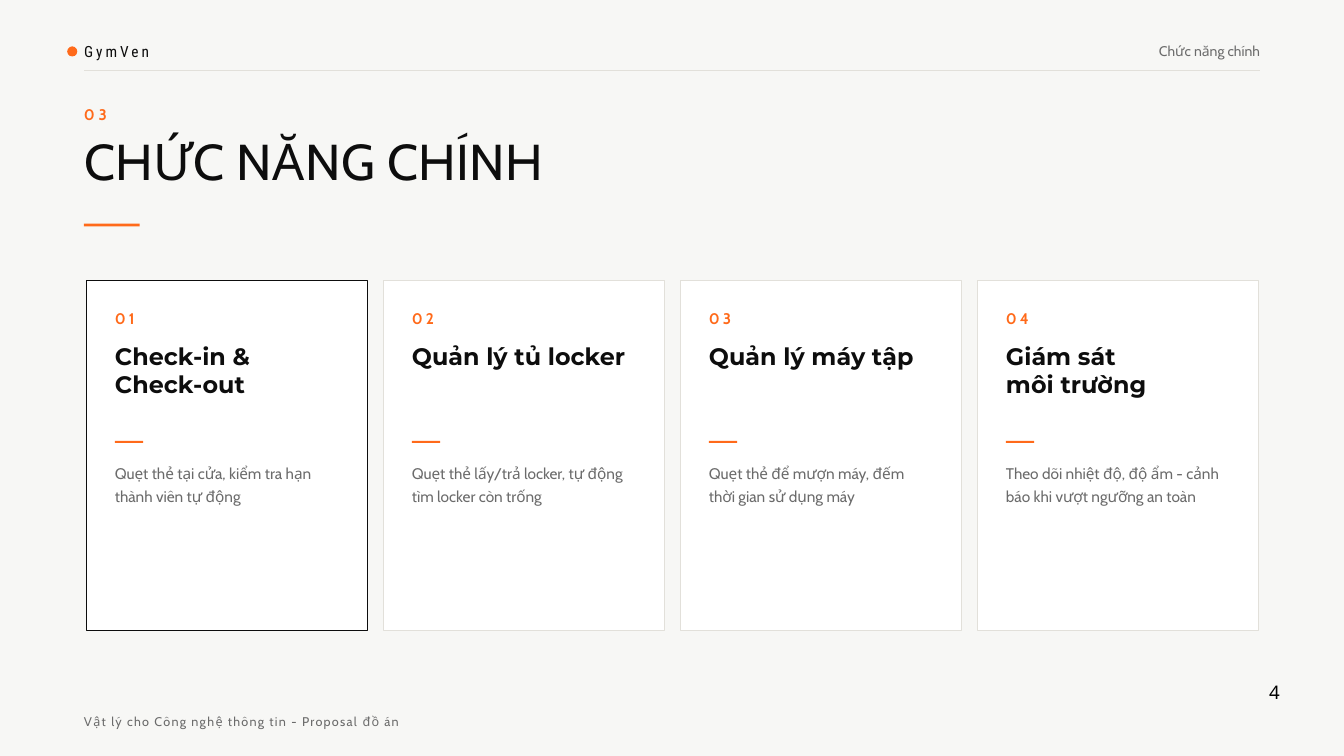
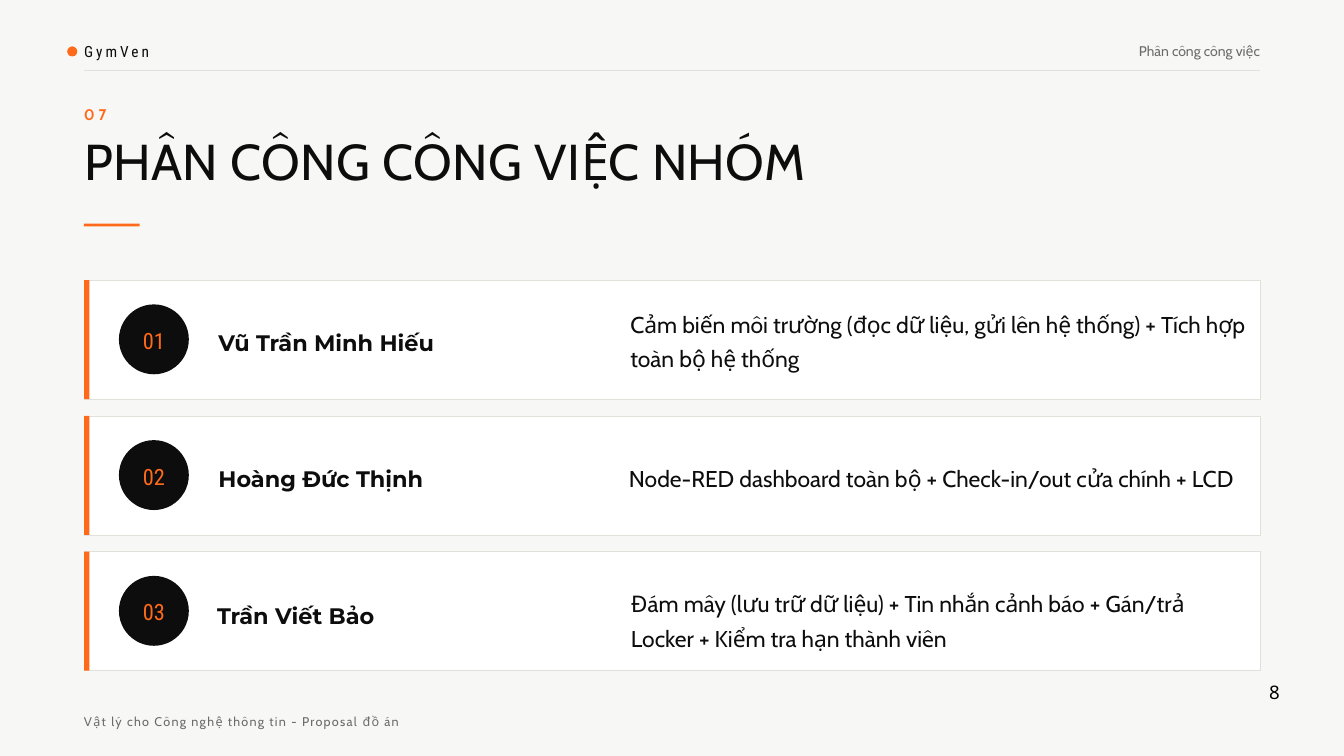
import pptx
import pptx.dml.color
import pptx.enum.shapes
import pptx.enum.text
import pptx.oxml.ns
import pptx.util
import lxml.etree

Inches = pptx.util.Inches
Pt = pptx.util.Pt
SHAPE = pptx.enum.shapes.MSO_SHAPE
ALIGN = pptx.enum.text.PP_ALIGN

THEME = {
    "colours": {
        name: pptx.dml.color.RGBColor.from_string(value)
        for name, value in {
            "paper": "F7F7F5", "card": "FFFFFF", "ink": "0D0D0D", "grey": "6B6B6B",
            "rule": "E2E0DA", "accent": "FF6A1A", "black": "000000",
        }.items()
    },
    "styles": {
        "brand": {"name": "Roboto Condensed", "size": 16.5, "colour": "ink", "leading": 23.1, "tracking": 330},
        "section": {"name": "Cabin", "size": 15, "colour": "grey", "leading": 21, "align": ALIGN.RIGHT},
        "number": {"name": "Cabin", "size": 16.5, "bold": True, "colour": "accent", "leading": 23.1, "tracking": 410},
        "title": {"name": "Cabin", "size": 54, "colour": "ink", "leading": 56.7, "tracking": 50},
        "card number": {"name": "Cabin", "size": 16.5, "bold": True, "colour": "accent", "leading": 23.1, "tracking": 330},
        "card heading": {"name": "Montserrat", "size": 25.5, "bold": True, "colour": "ink", "leading": 29.3},
        "card body": {"name": "Cabin", "size": 16.5, "colour": "grey", "leading": 24.8},
        "badge": {"name": "Roboto Condensed", "size": 24, "colour": "accent", "leading": 33.6, "align": ALIGN.CENTER},
        "member": {"name": "Montserrat", "size": 24, "bold": True, "colour": "ink", "leading": 33.6},
        "task": {"name": "Cabin", "size": 24.5, "colour": "ink", "leading": 36.7},
        "page number": {"name": "Noto Sans", "size": 20, "colour": "black", "leading": 28, "align": ALIGN.CENTER, "wrap": False},
        "footer": {"name": "Cabin", "size": 13.5, "colour": "grey", "leading": 18.9, "tracking": 140},
    },
}
COLOURS = THEME["colours"]


def write(page, place, text, style_name, box=None):
    style = THEME["styles"][style_name]
    box = box or page.shapes.add_textbox(0, 0, 0, 0)
    for side, length in zip(("left", "top", "width", "height"), place):
        setattr(box, side, Inches(length))
    frame = box.text_frame
    frame_format = {
        "margin_left": 0, "margin_top": 0, "margin_right": 0, "margin_bottom": 0,
        "word_wrap": style.get("wrap", True),
        "vertical_anchor": pptx.enum.text.MSO_ANCHOR.TOP,
        "auto_size": pptx.enum.text.MSO_AUTO_SIZE.SHAPE_TO_FIT_TEXT,
    }
    for attribute, value in frame_format.items():
        setattr(frame, attribute, value)
    for index, line in enumerate(text.split("\n")):
        para = frame.add_paragraph() if index else frame.paragraphs[0]
        para.alignment = style.get("align", ALIGN.LEFT)
        para.line_spacing = Pt(style["leading"])
        span = para.add_run()
        span.text = line
        font_format = {"name": style["name"], "size": Pt(style["size"]), "bold": style.get("bold", False)}
        for attribute, value in font_format.items():
            setattr(span.font, attribute, value)
        span.font.color.rgb = COLOURS[style["colour"]]
        if "tracking" in style:
            span.font._element.set("spc", str(style["tracking"]))


def draw(page, kind, place, fill, outline=None):
    shape = page.shapes.add_shape(kind, *map(Inches, place))
    shape.shadow.inherit = False
    shape.fill.solid()
    shape.fill.fore_color.rgb = COLOURS[fill]
    if outline:
        shape.line.color.rgb = COLOURS[outline]
        shape.line.width = Pt(0.75)
    else:
        shape.line.fill.background()


deck = pptx.Presentation()
deck.slide_width = Inches(20)
deck.slide_height = Inches(11.25)
background = deck.slide_master.background.fill
background.solid()
background.fore_color.rgb = COLOURS["paper"]

LEFT, RIGHT, CONTENT_TOP = 1.25, 18.75, 4.17
headers = [
    ("03", "CHỨC NĂNG CHÍNH", "Chức năng chính", "4"),
    ("07", "PHÂN CÔNG CÔNG VIỆC NHÓM", "Phân công công việc", "8"),
]
pages = []
for number, title, section, page_number in headers:
    page = deck.slides.add_slide(deck.slide_layouts[5])
    pages.append(page)
    write(page, (LEFT, 2.05, 14.58, 0.82), title, "title", page.shapes.title)
    draw(page, SHAPE.OVAL, (1, 0.69, 0.15, 0.15), "accent")
    write(page, (LEFT, 0.58, 6.25, 0.31), "GymVen", "brand")
    write(page, (16.56, 0.59, 2.19, 0.28), section, "section")
    rule = page.shapes.add_connector(
        pptx.enum.shapes.MSO_CONNECTOR.STRAIGHT, Inches(LEFT), Inches(1.04), Inches(RIGHT), Inches(1.04))
    rule.line.color.rgb = COLOURS["rule"]
    rule.line.width = Pt(0.75)
    lxml.etree.SubElement(rule._element.spPr, pptx.oxml.ns.qn("a:effectLst"))
    write(page, (LEFT, 1.52, 8.33, 0.31), number, "number")
    draw(page, SHAPE.RECTANGLE, (LEFT, 3.33, 0.83, 0.04), "accent")
    write(page, (18.88, 10.07, 0.17, 0.22), page_number, "page number")
    write(page, (LEFT, 10.59, 8.33, 0.25), "Vật lý cho Công nghệ thông tin - Proposal đồ án", "footer")

features_page, team_page = pages

CARD_WIDTH, CARD_GAP = 4.17, 0.25
features = [
    ("Check-in & Check-out", "Quẹt thẻ tại cửa, kiểm tra hạn thành viên tự động"),
    ("Quản lý tủ locker", "Quẹt thẻ lấy/trả locker, tự động tìm locker còn trống"),
    ("Quản lý máy tập", "Quẹt thẻ để mượn máy, đếm thời gian sử dụng máy"),
    ("Giám sát\nmôi trường", "Theo dõi nhiệt độ, độ ẩm - cảnh báo khi vượt ngưỡng an toàn"),
]
for index, (heading, body) in enumerate(features):
    card_left = 1.29 + index * (CARD_WIDTH + CARD_GAP)
    inner_left = card_left + 0.42
    outline = "rule" if index else "ink"
    draw(features_page, SHAPE.RECTANGLE, (card_left, CONTENT_TOP, CARD_WIDTH, 5.21), "card", outline)
    write(features_page, (inner_left, 4.55, 2.08, 0.3), f"{index + 1:02}", "card number")
    write(features_page, (inner_left, 5.11, 3.33, 0.82), heading, "card heading")
    draw(features_page, SHAPE.RECTANGLE, (inner_left, 6.56, 0.42, 0.03), "accent")
    write(features_page, (inner_left, 6.84, 3.33, 0.66), body, "card body")

ROW_HEIGHT, ROW_GAP = 1.77, 0.25
members = [
    ("Vũ Trần Minh Hiếu", (3.25, 4.83), (9.38, 4.52),
     "Cảm biến môi trường (đọc dữ liệu, gửi lên hệ thống) + Tích hợp toàn bộ hệ thống"),
    ("Hoàng Đức Thịnh", (3.25, 6.85), (9.36, 6.81),
     "Node-RED dashboard toàn bộ + Check-in/out cửa chính + LCD"),
    ("Trần Viết Bảo", (3.23, 8.89), (9.39, 8.68),
     "Đám mây (lưu trữ dữ liệu) + Tin nhắn cảnh báo + Gán/trả Locker + Kiểm tra hạn thành viên"),
]
for index, (member, member_corner, task_corner, task) in enumerate(members):
    row_top = CONTENT_TOP + index * (ROW_HEIGHT + ROW_GAP)
    draw(team_page, SHAPE.RECTANGLE, (LEFT, row_top, RIGHT - LEFT, ROW_HEIGHT), "card", "rule")
    draw(team_page, SHAPE.RECTANGLE, (LEFT, row_top, 0.08, ROW_HEIGHT), "accent")
    draw(team_page, SHAPE.OVAL, (1.77, row_top + 0.36, 1.04, 1.04), "ink")
    write(team_page, (1.77, row_top + 0.63, 1.04, 0.45), f"{index + 1:02}", "badge")
    write(team_page, (*member_corner, 5.21, 0.42), member, "member")
    write(team_page, (*task_corner, 9.17, 0.96), task, "task")

deck.save("out.pptx")
